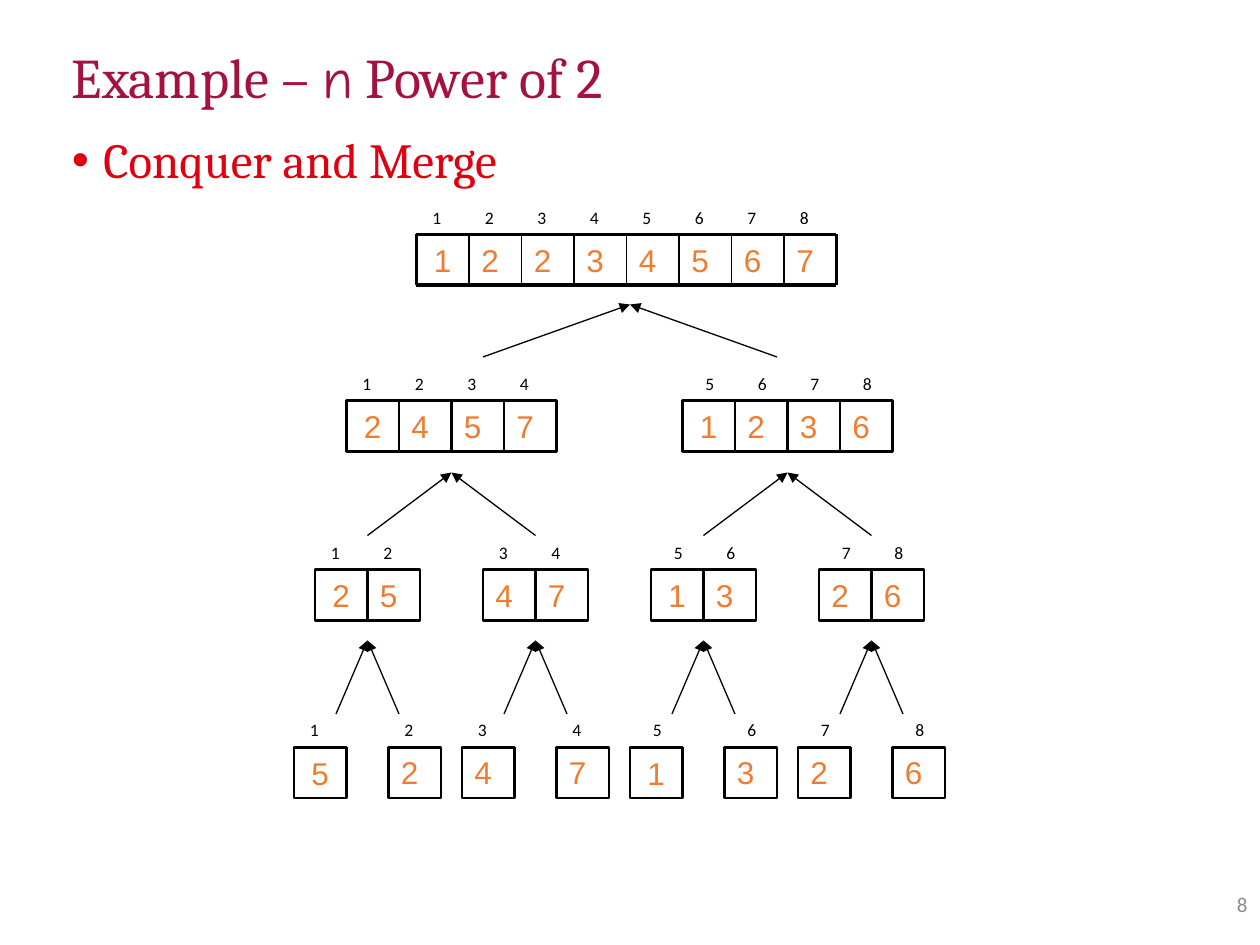
from lxml import etree
from pptx import Presentation, util as u
from pptx.dml.color import RGBColor
from pptx.enum import shapes, text
from pptx.oxml.ns import qn

PX = 6350  # EMU per px, 144 px to the inch
CELL_WIDTH, CELL_HEIGHT = 60, 58
LABEL_WIDTH, LABEL_HEIGHT = 36, 39
BLACK, ORANGE, CRIMSON, RED, GREY = "000000", "ED7D31", "A4123F", "DD0111", "8C8C8C"

# Each level: top of cells, then (left, first index, values) for each block
LEVELS = [
    (268, [(476, 1, "12234567")]),
    (458, [(396, 1, "2457"), (780, 5, "1236")]),
    (651, [(360, 1, "25"), (552, 3, "47"), (744, 5, "13"), (936, 7, "26")]),
    (854, [(336, 1, "5"), (444, 2, "2"), (528, 3, "4"), (636, 4, "7"),
           (720, 5, "1"), (828, 6, "3"), (912, 7, "2"), (1020, 8, "6")]),
]
# Each set of merge arrows: tip positions, tip y, half spread, drop
MERGES = [
    ([720], 348, 168, 60),
    ([516, 900], 540, 96, 72),
    ([420, 612, 804, 996], 732, 36, 84),
]


def px(*lengths):
    return [u.Emu(length * PX) for length in lengths]


def colour(value):
    return RGBColor.from_string(value)


def write(shape, runs, size, value, align=text.PP_ALIGN.LEFT, anchor=text.MSO_ANCHOR.TOP):
    """Fill a shape with one paragraph of (text, font name) runs."""
    frame = shape.text_frame
    frame.word_wrap = True
    frame.vertical_anchor = anchor
    paragraph = frame.paragraphs[0]
    paragraph.alignment = align
    for words, font_name in runs:
        run = paragraph.add_run()
        run.text = words
        run.font.name = font_name
        run.font.size = u.Pt(size)
        run.font.color.rgb = colour(value)
    return paragraph


def add_text(slide, box, runs, size, value, **layout):
    return write(slide.shapes.add_textbox(*px(*box)), runs, size, value, **layout)


def add_line(slide, start, end, width, arrow=False):
    line = slide.shapes.add_connector(shapes.MSO_CONNECTOR.STRAIGHT, *px(*start, *end))
    line.line.color.rgb = colour(BLACK)
    line.line.width = u.Pt(width)
    if arrow:
        etree.SubElement(line.line._get_or_add_ln(), qn("a:headEnd"), type="triangle")
    etree.SubElement(line._element.spPr, qn("a:effectLst"))


def add_heading(slide, left, top, width):
    # Title
    title = add_text(slide, (left, top, width, 73),
                     [("Example – ", "Cambria"), ("n", "Comic Neue"), (" Power of 2", "Cambria")],
                     32, CRIMSON, anchor=text.MSO_ANCHOR.MIDDLE)
    title.line_spacing = 0.9

    # Bullet
    bullet = add_text(slide, (left, top + 93, width, 804),
                      [("Conquer and Merge", "Cambria")], 28, RED)
    bullet.line_spacing = 0.9
    properties = bullet._p.get_or_add_pPr()
    properties.set("marL", str(36 * PX))
    properties.set("indent", str(-36 * PX))
    etree.SubElement(properties, qn("a:buFont"), typeface="Arial")
    etree.SubElement(properties, qn("a:buChar"), char="•")


def add_grid_lines(slide, left, top, count):
    right, bottom = left + count * CELL_WIDTH, top + CELL_HEIGHT
    for y in (top, bottom):
        add_line(slide, (left, y), (right, y), 2.25)
    for column in range(count + 1):
        x = left + column * CELL_WIDTH
        add_line(slide, (x, top), (x, bottom), 2.25 if column in (0, count) else 1)


def add_block(slide, left, top, first_index, values, ruled):
    """Draw a run of numbered cells, ruled by lines or as separate boxes."""
    in_right_half = first_index >= 5
    label_shift = 12 if in_right_half else 4
    for column, digit in enumerate(values):
        x = left + column * CELL_WIDTH
        add_text(slide, (x + label_shift, top - LABEL_HEIGHT, LABEL_WIDTH, LABEL_HEIGHT),
                 [(str(first_index + column), "Calibri")], 10, BLACK)
        box = px(x, top, CELL_WIDTH, CELL_HEIGHT)
        if ruled:
            cell = slide.shapes.add_textbox(*box)
        else:
            cell = slide.shapes.add_shape(shapes.MSO_SHAPE.RECTANGLE, *box)
            cell.shadow.inherit = False
            cell.fill.background()
            cell.line.color.rgb = colour(BLACK)
            cell.line.width = u.Pt(1.5)
        # The cell that opens either half is centred
        layout = {}
        if column == 0 and first_index in (1, 5):
            layout = {"align": text.PP_ALIGN.CENTER, "anchor": text.MSO_ANCHOR.MIDDLE}
        write(cell, [(digit, "Arial")], 18, ORANGE, **layout)
    if ruled:
        add_grid_lines(slide, left, top, len(values))


def add_merge_tree(slide):
    for depth, (top, blocks) in enumerate(LEVELS):
        for left, first_index, values in blocks:
            add_block(slide, left, top, first_index, values, ruled=depth == 0)
    for tips, y, spread, drop in MERGES:
        for x in tips:
            for side in (-1, 1):
                add_line(slide, (x, y), (x + side * spread, y + drop), 0.75, arrow=True)


def main():
    presentation = Presentation()
    presentation.slide_width, presentation.slide_height = px(1440, 1080)
    slide = presentation.slides.add_slide(presentation.slide_layouts[6])
    add_heading(slide, 68, 55, 1323)
    add_merge_tree(slide)
    # Slide number
    add_text(slide, (1104, 1008, 336, 50), [("8", "Calibri")], 12, GREY,
             align=text.PP_ALIGN.RIGHT, anchor=text.MSO_ANCHOR.MIDDLE)
    presentation.save("out.pptx")


if __name__ == "__main__":
    main()
